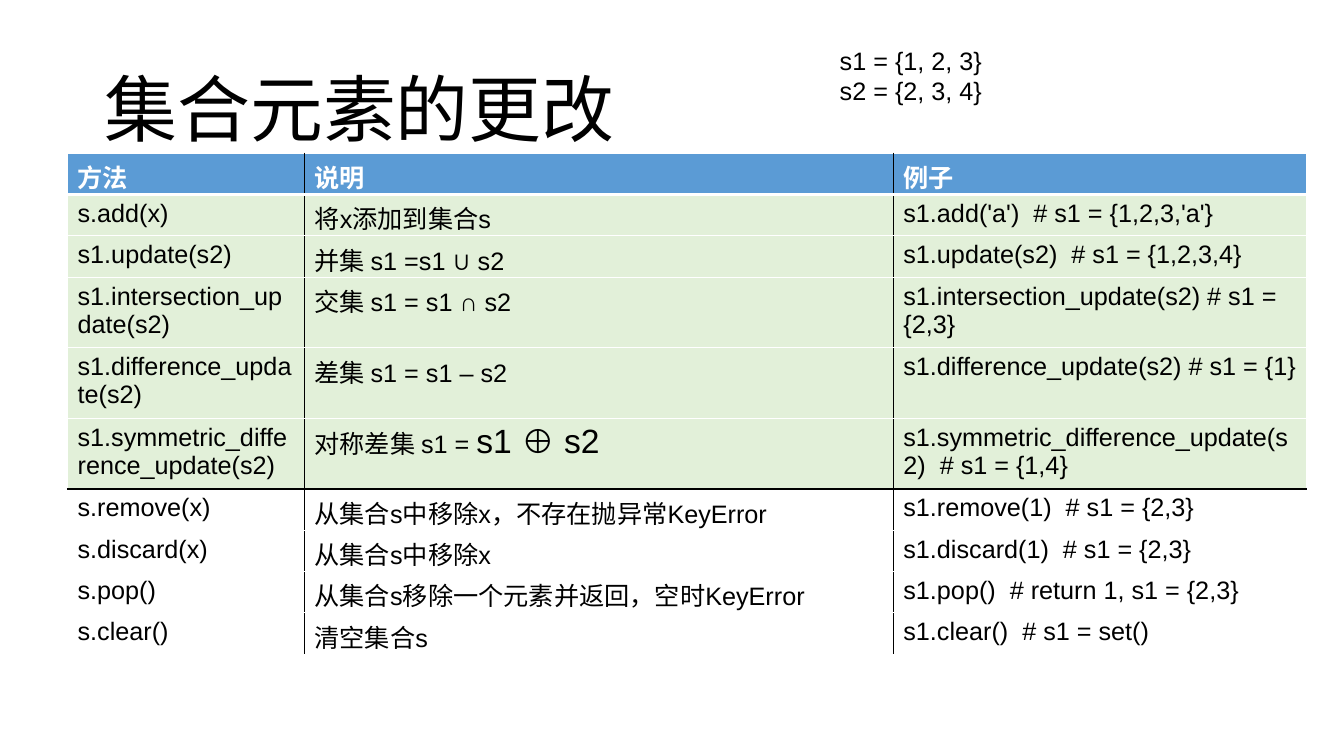
"""Build a slide listing the methods that change the elements of a set."""
from lxml import etree
from pptx import Presentation
from pptx import util as u
from pptx.dml.color import RGBColor
from pptx.enum import text
from pptx.oxml.ns import qn

BLACK = RGBColor(0x00, 0x00, 0x00)
WHITE = RGBColor(0xFF, 0xFF, 0xFF)
BLUE = RGBColor(0x5B, 0x9B, 0xD5)
GREEN = RGBColor(0xE2, 0xF0, 0xD9)
CHINESE = "Noto Sans CJK SC"

ROWS = [
    ("方法", "说明", "例子"),
    ("s.add(x)", "将x添加到集合s", "s1.add('a')  # s1 = {1,2,3,'a'}"),
    ("s1.update(s2)", "并集 s1 =s1 ∪ s2", "s1.update(s2)  # s1 = {1,2,3,4}"),
    ("s1.intersection_update(s2)", "交集 s1 = s1 ∩ s2",
     "s1.intersection_update(s2) # s1 = {2,3}"),
    ("s1.difference_update(s2)", "差集 s1 = s1 – s2",
     "s1.difference_update(s2) # s1 = {1}"),
    ("s1.symmetric_difference_update(s2)", "对称差集 s1 = ",
     "s1.symmetric_difference_update(s2)  # s1 = {1,4}"),
    ("s.remove(x)", "从集合s中移除x，不存在抛异常KeyError", "s1.remove(1)  # s1 = {2,3}"),
    ("s.discard(x)", "从集合s中移除x", "s1.discard(1)  # s1 = {2,3}"),
    ("s.pop()", "从集合s移除一个元素并返回，空时KeyError",
     "s1.pop()  # return 1, s1 = {2,3}"),
    ("s.clear()", "清空集合s", "s1.clear()  # s1 = set()"),
]
COLUMN_WIDTHS = (2.35, 5.84, 4.1)
ROW_HEIGHT = 0.41
LAST_GREEN = 5


def style(para, size, color, latin="Arial", bold=False):
    font = para.font
    font.size, font.name, font.bold = u.Pt(size), latin, bold
    font.color.rgb = color
    defaults = para._p.pPr.find(qn("a:defRPr"))
    etree.SubElement(defaults, qn("a:ea")).set("typeface", CHINESE)


def add_border(cell, side, color, width):
    line = etree.SubElement(cell._tc.get_or_add_tcPr(), qn(f"a:ln{side}"))
    line.set("w", str(u.Pt(width)))
    fill = etree.SubElement(line, qn("a:solidFill"))
    etree.SubElement(fill, qn("a:srgbClr")).set("val", str(color))


deck = Presentation()
deck.slide_width, deck.slide_height = u.Inches(13.33), u.Inches(7.5)
page = deck.slides.add_slide(deck.slide_layouts[6])

title = page.shapes.add_textbox(u.Inches(0.92), u.Inches(0.4), u.Inches(11.5), u.Inches(1.45))
frame = title.text_frame
frame.word_wrap = True
frame.vertical_anchor = text.MSO_ANCHOR.MIDDLE
frame.margin_left = frame.margin_right = u.Inches(0.12)
frame.margin_top = frame.margin_bottom = u.Inches(0.06)
frame.text = "集合元素的更改"
frame.paragraphs[0].line_spacing = 0.9
style(frame.paragraphs[0], 52, BLACK, CHINESE)

table = page.shapes.add_table(
    len(ROWS), len(COLUMN_WIDTHS), u.Inches(0.67), u.Inches(1.52),
    u.Inches(sum(COLUMN_WIDTHS)), u.Inches(ROW_HEIGHT * len(ROWS))).table
table.horz_banding = False
for column, width in zip(table.columns, COLUMN_WIDTHS):
    column.width = u.Inches(width)

last_column = len(COLUMN_WIDTHS) - 1
for r, row in enumerate(ROWS):
    table.rows[r].height = u.Inches(ROW_HEIGHT)
    for c, words in enumerate(row):
        cell = table.cell(r, c)
        cell.text = words
        style(cell.text_frame.paragraphs[0], 18, BLACK if r else WHITE, bold=r == 0)
        add_border(cell, "L", BLACK if c else WHITE, 1)
        add_border(cell, "R", BLACK if c < last_column else WHITE, 1)
        add_border(cell, "T", BLACK if r == LAST_GREEN + 1 else WHITE, 3 if r == 1 else 1)
        add_border(cell, "B", BLACK if r == LAST_GREEN else WHITE, 1 if r else 3)
        if r > LAST_GREEN:
            cell.fill.background()
        else:
            cell.fill.solid()
            cell.fill.fore_color.rgb = GREEN if r else BLUE

span = table.cell(LAST_GREEN, 1).text_frame.paragraphs[0].add_run()
span.text = "s1 ⊕ s2"
span.font.size = u.Pt(24)

sets = page.shapes.add_textbox(u.Inches(8.23), u.Inches(0.4), u.Inches(3.85), u.Inches(0.71))
sets.text_frame.word_wrap = True
sets.text_frame.auto_size = text.MSO_AUTO_SIZE.SHAPE_TO_FIT_TEXT
sets.text_frame.text = "s1 = {1, 2, 3}\ns2 = {2, 3, 4}"
for para in sets.text_frame.paragraphs:
    style(para, 18, BLACK)

deck.save("out.pptx")
